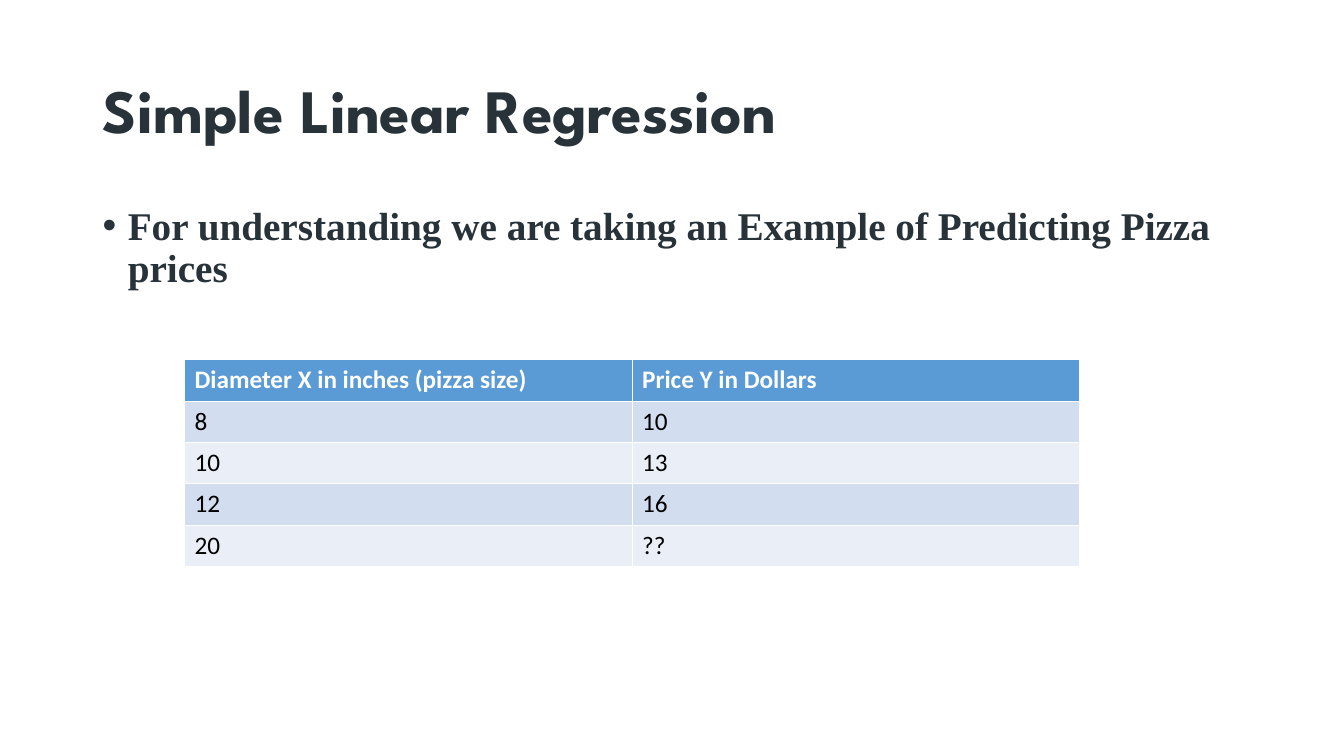
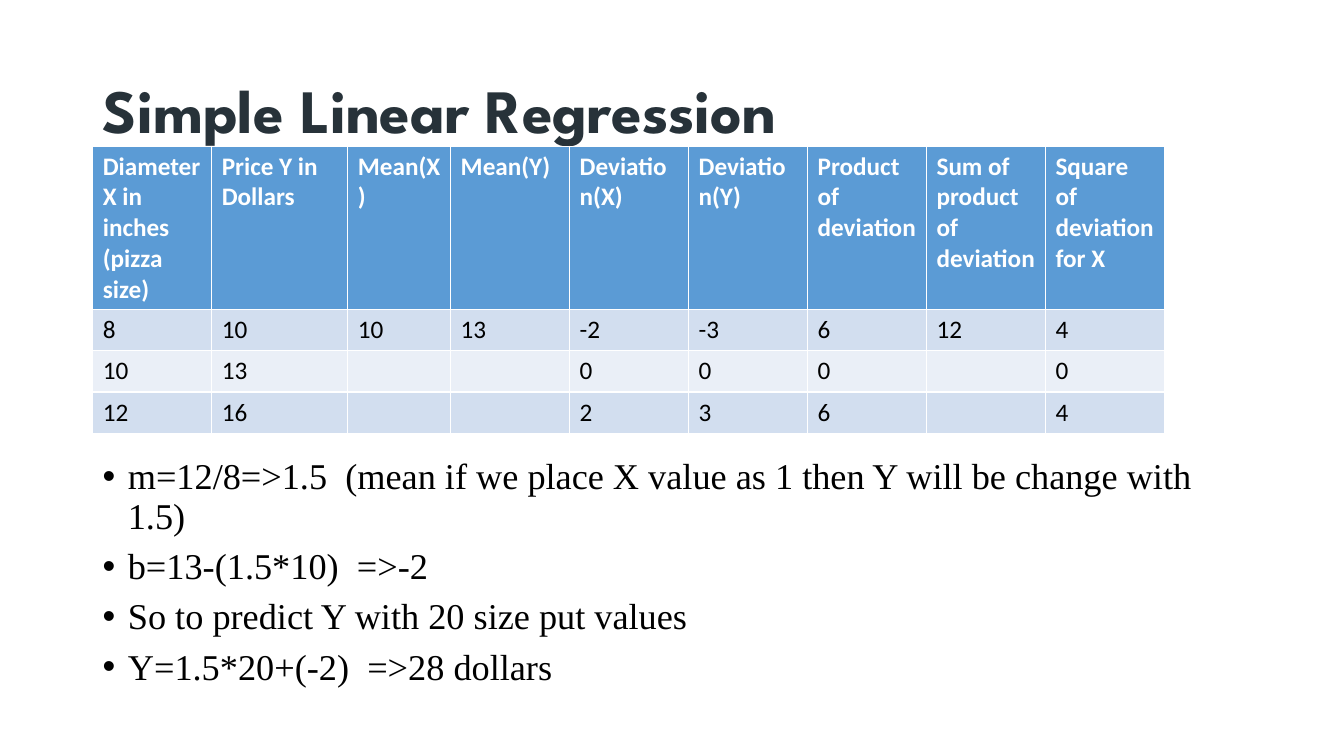
"""Build two slides that work through simple linear regression on pizza prices."""
import pptx
import pptx.dml.color
import pptx.enum.text
import pptx.util
from lxml import etree
from pptx.util import Inches

COLORS = {
    "heading": "273239",
    "text": "000000",
    "header_text": "FFFFFF",
    "header": "5B9BD5",
    "odd_row": "D2DEEF",
    "even_row": "EAEFF7",
}
ROW_HEIGHT = 0.41
LEFT, WIDTH = 0.92, 11.5

lessons = [
    {
        "bullets": ["For understanding we are taking an Example of Predicting Pizza prices"],
        "bullet_top": 2, "bullet_height": 1.2,
        "size": 28, "bold": True, "color": "heading", "space": 10,
        "table_at": (1.83, 3.57), "columns": [4.44] * 2, "header_height": ROW_HEIGHT,
        "rows": [
            ["Diameter X in inches (pizza size)", "Price Y in Dollars"],
            ["8", "10"],
            ["10", "13"],
            ["12", "16"],
            ["20", "??"],
        ],
    },
    {
        "bullets": [
            "m=12/8=>1.5  (mean if we place X value as 1 then Y will be change with 1.5)",
            "b=13-(1.5*10)  =>-2",
            "So to predict Y with 20 size put values",
            "Y=1.5*20+(-2)  =>28 dollars",
        ],
        "bullet_top": 4.5, "bullet_height": 2.26,
        "size": 25.9, "bold": False, "color": "text", "space": 8,
        "table_at": (LEFT, 1.45), "columns": [1.18, 1.35, 1.02] + [1.18] * 6,
        "header_height": 1.62,
        "rows": [
            ["Diameter X in inches (pizza size)", "Price Y in Dollars", "Mean(X)", "Mean(Y)",
             "Deviation(X)", "Deviation(Y)", "Product of deviation",
             "Sum of product of deviation", "Square of deviation for X"],
            ["8", "10", "10", "13", "-2", "-3", "6", "12", "4"],
            ["10", "13", "", "", "0", "0", "0", "", "0"],
            ["12", "16", "", "", "2", "3", "6", "", "4"],
        ],
    },
]


def style(paragraph, name, size, color, bold):
    """Set the font of a whole paragraph."""
    font = paragraph.font
    font.name, font.size, font.bold = name, pptx.util.Pt(size), bold
    font.color.rgb = pptx.dml.color.RGBColor.from_string(COLORS[color])


def add_bullet(paragraph):
    """Give a paragraph a round bullet with a hanging indent."""
    properties = paragraph._p.get_or_add_pPr()
    properties.set("marL", str(Inches(0.25)))
    properties.set("indent", str(Inches(-0.25)))
    namespace = "{http://schemas.openxmlformats.org/drawingml/2006/main}"
    bullet_font = etree.Element(namespace + "buFont", typeface="Arial")
    bullet = etree.Element(namespace + "buChar", char="•")
    defaults = properties.find(namespace + "defRPr")
    defaults.addprevious(bullet_font)
    defaults.addprevious(bullet)


deck = pptx.Presentation()
deck.slide_width, deck.slide_height = Inches(13.33), Inches(7.5)

for lesson in lessons:
    slide = deck.slides.add_slide(deck.slide_layouts[5])

    title = slide.shapes.title
    title.left, title.top = Inches(LEFT), Inches(0.4)
    title.width, title.height = Inches(WIDTH), Inches(1.45)
    title.text_frame.text = "Simple Linear Regression"
    title.text_frame.auto_size = pptx.enum.text.MSO_AUTO_SIZE.NONE
    title.text_frame.vertical_anchor = pptx.enum.text.MSO_ANCHOR.MIDDLE
    heading = title.text_frame.paragraphs[0]
    heading.alignment = pptx.enum.text.PP_ALIGN.LEFT
    heading.line_spacing = 0.9
    style(heading, "League Spartan", 44, "heading", True)

    notes = slide.shapes.add_textbox(Inches(LEFT), Inches(lesson["bullet_top"]),
                                     Inches(WIDTH), Inches(lesson["bullet_height"])).text_frame
    notes.word_wrap = True
    notes.text = "\n".join(lesson["bullets"])
    for number, paragraph in enumerate(notes.paragraphs):
        paragraph.line_spacing = 0.9
        paragraph.space_before = pptx.util.Pt(lesson["space"] if number else 0)
        style(paragraph, "Times New Roman", lesson["size"], lesson["color"], lesson["bold"])
        add_bullet(paragraph)

    rows, columns = lesson["rows"], lesson["columns"]
    heights = [lesson["header_height"]] + [ROW_HEIGHT] * (len(rows) - 1)
    table_left, table_top = lesson["table_at"]
    table = slide.shapes.add_table(len(rows), len(columns), Inches(table_left), Inches(table_top),
                                   Inches(sum(columns)), Inches(sum(heights))).table
    for column, width in zip(table.columns, columns):
        column.width = Inches(width)
    for row_number, (row, height) in enumerate(zip(rows, heights)):
        table.rows[row_number].height = Inches(height)
        is_header = row_number == 0
        band = "header" if is_header else "odd_row" if row_number % 2 else "even_row"
        for column_number, value in enumerate(row):
            cell = table.cell(row_number, column_number)
            cell.fill.solid()
            cell.fill.fore_color.rgb = pptx.dml.color.RGBColor.from_string(COLORS[band])
            cell.text = value
            style(cell.text_frame.paragraphs[0], "Calibri", 18,
                  "header_text" if is_header else "text", is_header)

deck.save("out.pptx")
